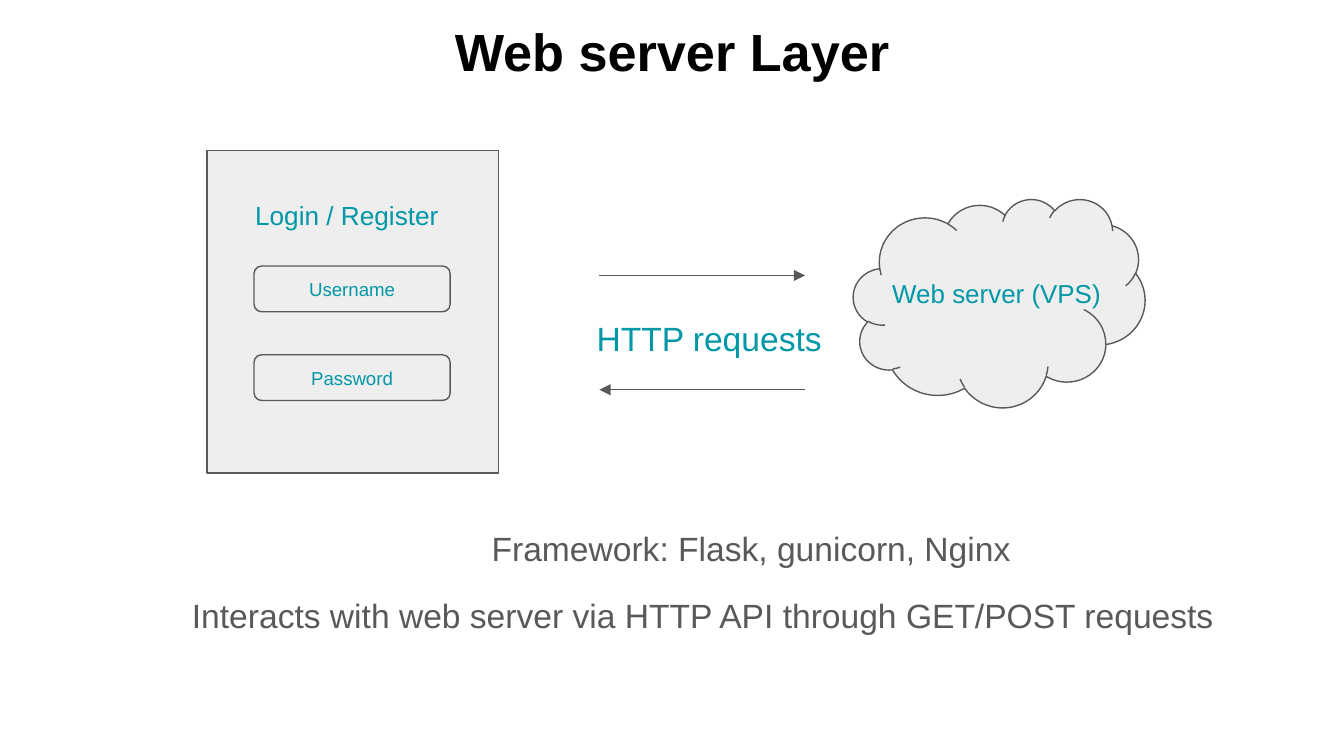
from lxml import etree
from pptx import Presentation
from pptx.dml.color import RGBColor
from pptx.enum import shapes, text
from pptx.oxml import ns
from pptx.util import Inches, Pt

TEAL, GRAY, PALE, BLACK = "0097A7", "595959", "EEEEEE", "000000"
LEFT, CENTER = text.PP_ALIGN.LEFT, text.PP_ALIGN.CENTER


def color(value):
    return RGBColor.from_string(value)


def write(frame, words, size=18, fill=TEAL, bold=False, align=LEFT,
          anchor=text.MSO_ANCHOR.TOP, spacing=None, after=None):
    """Put one formatted paragraph in a text frame."""
    frame.word_wrap = True
    frame.vertical_anchor = anchor
    frame.margin_left = frame.margin_right = Inches(0.1)
    frame.margin_top = frame.margin_bottom = Inches(0.1)
    paragraph = frame.paragraphs[0]
    paragraph.alignment = align
    if spacing:
        paragraph.line_spacing = spacing
    if after:
        paragraph.space_after = Pt(after)
    run = paragraph.add_run()
    run.text = words
    run.font.name = "Arial"
    run.font.size = Pt(size)
    run.font.bold = bold
    run.font.color.rgb = color(fill)


def add_label(slide, box, words, **style):
    label = slide.shapes.add_textbox(*map(Inches, box))
    write(label.text_frame, words, **style)


def add_panel(slide, kind, box):
    """Add a pale shape with a thin gray outline."""
    panel = slide.shapes.add_shape(kind, *map(Inches, box))
    panel.shadow.inherit = False
    panel.fill.solid()
    panel.fill.fore_color.rgb = color(PALE)
    panel.line.color.rgb = color(GRAY)
    panel.line.width = Pt(0.75)
    return panel


def add_field(slide, top, words):
    field = add_panel(slide, shapes.MSO_SHAPE.ROUNDED_RECTANGLE,
                      (1.89, top, 1.46, 0.34))
    write(field.text_frame, words, size=10, align=CENTER,
          anchor=text.MSO_ANCHOR.MIDDLE)


def add_arrow(slide, start, end, y):
    arrow = slide.shapes.add_connector(
        shapes.MSO_CONNECTOR.STRAIGHT,
        Inches(start), Inches(y), Inches(end), Inches(y))
    arrow.line.color.rgb = color(GRAY)
    arrow.line.width = Pt(0.75)
    etree.SubElement(arrow.line._get_or_add_ln(), ns.qn("a:tailEnd"),
                     type="triangle")
    etree.SubElement(arrow._element.spPr, ns.qn("a:effectLst"))


def main():
    deck = Presentation()
    deck.slide_width = Inches(10)
    deck.slide_height = deck.slide_width * 9 // 16
    slide = deck.slides.add_slide(deck.slide_layouts[6])

    # Web server cloud
    add_panel(slide, shapes.MSO_SHAPE.CLOUD, (6.35, 1.48, 2.17, 1.55))
    add_label(slide, (6.54, 1.93, 1.88, 0.65), "Web server (VPS)",
              size=13.9, spacing=1.15, after=12)

    # Requests and responses
    client_x, server_x = 4.46, 5.99
    add_arrow(slide, client_x, server_x, 2.05)
    add_arrow(slide, server_x, client_x, 2.9)
    add_label(slide, (4.34, 2.22, 1.88, 0.5), "HTTP requests",
              spacing=1.15, after=12)

    # Login form
    add_panel(slide, shapes.MSO_SHAPE.RECTANGLE, (1.54, 1.12, 2.17, 2.4))
    for row, words in enumerate(("Username", "Password")):
        add_field(slide, 1.98 + 0.66 * row, words)
    add_label(slide, (1.8, 1.38, 1.65, 0.39), "Login / Register", size=14)

    # Notes under the diagram
    add_label(slide, (3.56, 3.83, 4.13, 0.5),
              "Framework: Flask, gunicorn, Nginx", fill=GRAY)
    add_label(slide, (1.33, 4.33, 8.6, 0.5),
              "Interacts with web server via HTTP API through GET/POST requests",
              fill=GRAY)

    # Title
    add_label(slide, (0, 0.04, 10, 0.67), "Web server Layer",
              size=28, fill=BLACK, bold=True, align=CENTER)

    deck.save("out.pptx")


if __name__ == "__main__":
    main()
